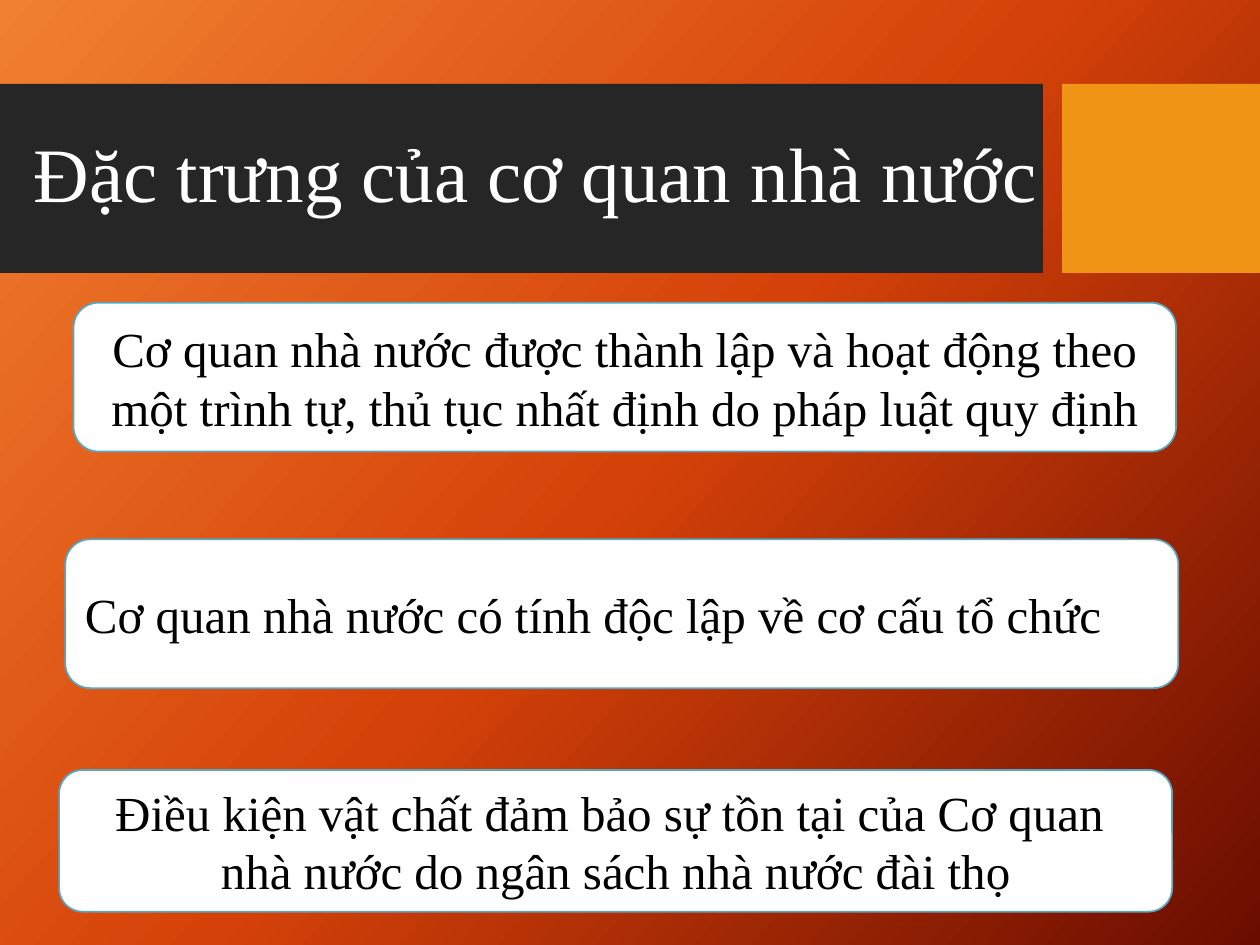
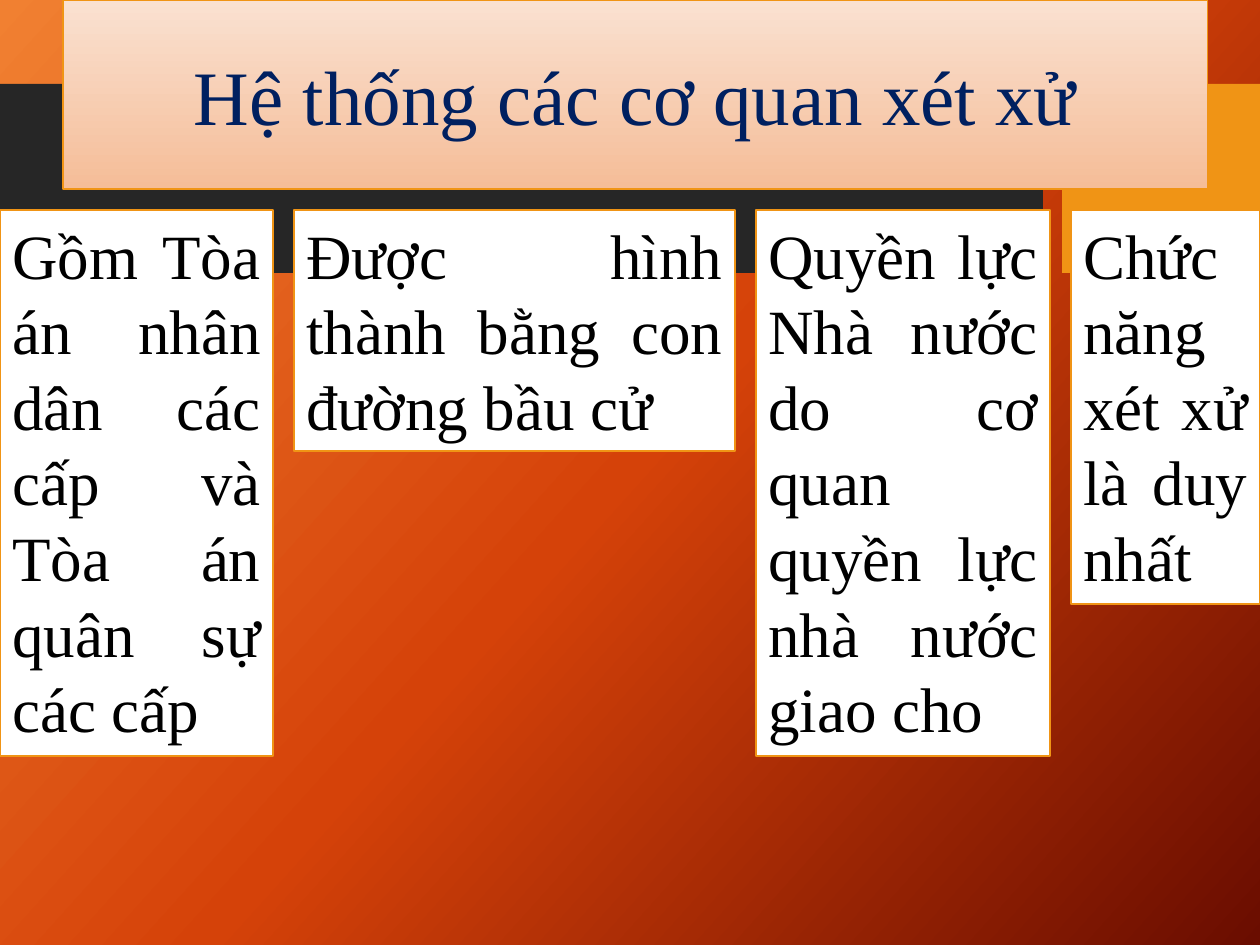
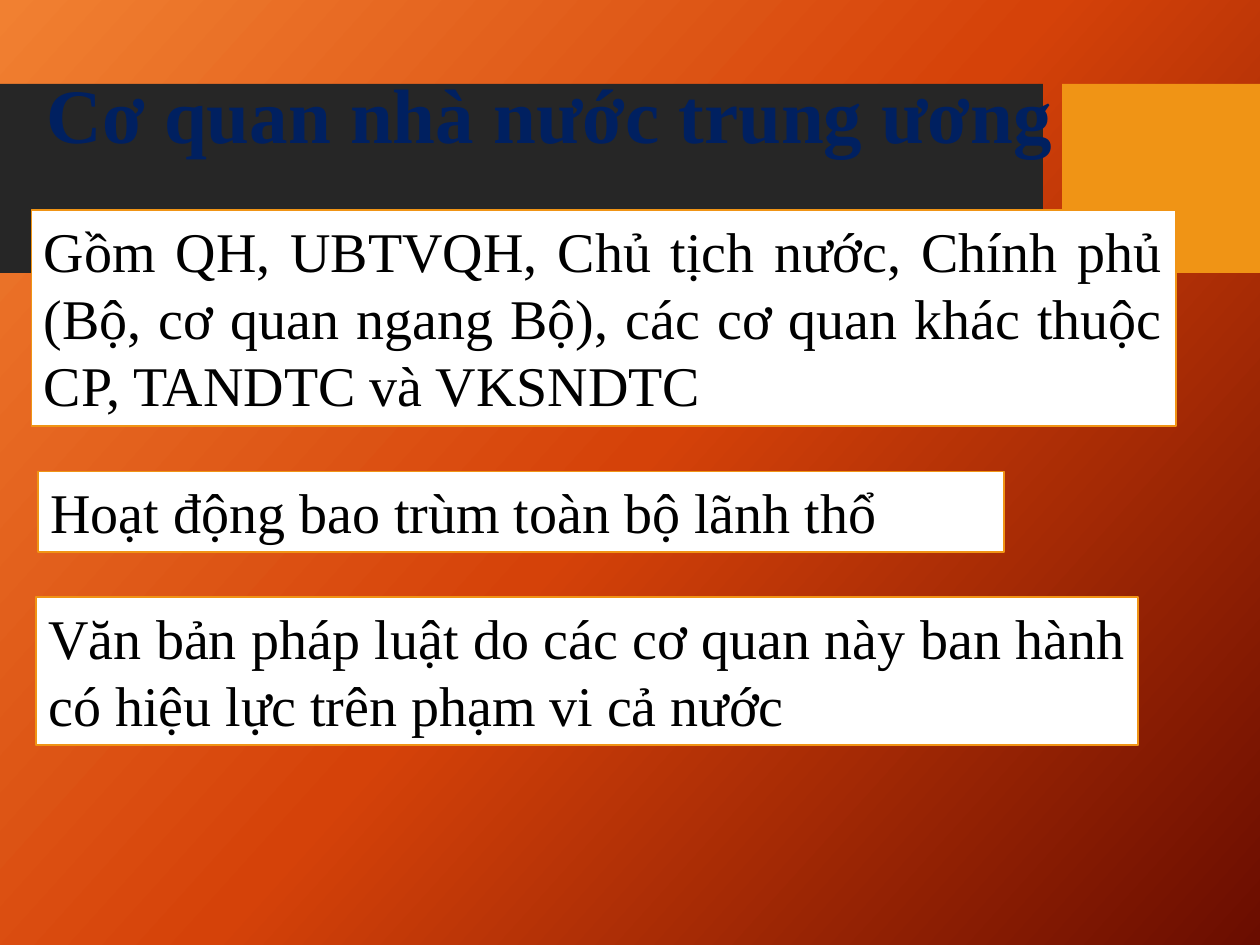
from lxml.etree import SubElement
from pptx import Presentation
from pptx.dml.color import RGBColor
from pptx.enum.shapes import MSO_SHAPE as Shape
from pptx.enum.text import MSO_ANCHOR as Anchor, MSO_AUTO_SIZE as AutoSize, PP_ALIGN as Align
from pptx.oxml.ns import qn
from pptx.util import Pt

FONT = "Times New Roman"
WIDTH, HEIGHT = 720, 540
BLANK_LAYOUT = 6
BAND_TOP, BAND_HEIGHT = 48, 108
CARD_TOP = 120
LINE_RATIO = 1.21
INSET = 3.6

WHITE = RGBColor(0xFF, 0xFF, 0xFF)
BLACK = RGBColor(0x00, 0x00, 0x00)
CHARCOAL = RGBColor(0x26, 0x26, 0x26)
AMBER = RGBColor(0xF0, 0x94, 0x15)
TEAL = RGBColor(0x5A, 0xA6, 0xC0)
NAVY = RGBColor(0x00, 0x20, 0x60)
BACKDROP = [(0, RGBColor(0xF1, 0x80, 0x31)),
            (50, RGBColor(0xD5, 0x42, 0x09)),
            (100, RGBColor(0x6A, 0x0D, 0x00))]
PEACH = [(0, RGBColor(0xFA, 0xE1, 0xD1)), (100, RGBColor(0xF5, 0xBD, 0x98))]


def paint_gradient(fill, element, stops, angle):
    """Fill with (percent, colour) stops; the angle runs clockwise."""
    fill.gradient()
    fill.gradient_angle = 360 - angle
    stop_list = element.find(".//" + qn("a:gsLst"))
    for stop in list(stop_list):
        stop_list.remove(stop)
    for percent, color in stops:
        stop = SubElement(stop_list, qn("a:gs"), pos=str(percent * 1000))
        SubElement(stop, qn("a:srgbClr"), val=str(color))


def write_text(shape, text, *, size, color=BLACK, bold=False, align=Align.LEFT,
               anchor=Anchor.MIDDLE, spacing=None, grow=False):
    frame = shape.text_frame
    frame.word_wrap = True
    frame.vertical_anchor = anchor
    frame.auto_size = AutoSize.SHAPE_TO_FIT_TEXT if grow else AutoSize.NONE
    for index, line in enumerate(text.split("\n")):
        para = frame.add_paragraph() if index else frame.paragraphs[0]
        para.alignment = align
        if spacing:
            para.line_spacing = spacing
        span = para.add_run()
        span.text = line
        span.font.name = FONT
        span.font.size = Pt(size)
        span.font.bold = bold
        span.font.color.rgb = color


def add_box(page, left, top, width, height, *, kind=Shape.RECTANGLE,
            fill=WHITE, line=None, weight=1):
    box = page.shapes.add_shape(kind, Pt(left), Pt(top), Pt(width), Pt(height))
    box.shadow.inherit = False
    if isinstance(fill, list):
        paint_gradient(box.fill, box.element, fill, 90)
    else:
        box.fill.solid()
        box.fill.fore_color.rgb = fill
    if line is None:
        box.line.fill.background()
    else:
        box.line.color.rgb = line
        box.line.width = Pt(weight)
    return box


def add_page(deck):
    """Add a slide with the shared backdrop and title bands."""
    page = deck.slides.add_slide(deck.slide_layouts[BLANK_LAYOUT])
    paint_gradient(page.background.fill, page.element, BACKDROP, 42)
    add_box(page, 0, BAND_TOP, 596, BAND_HEIGHT, fill=CHARCOAL)
    add_box(page, 607, BAND_TOP, WIDTH - 607, BAND_HEIGHT, fill=AMBER)
    return page


def add_title(page, text, left, top, width, height, **style):
    box = page.shapes.add_textbox(Pt(left), Pt(top), Pt(width), Pt(height))
    write_text(box, text, size=44, spacing=0.9, **style)


def add_rounded_card(page, text, left, top, width, height, align=Align.CENTER):
    card = add_box(page, left, top, width, height,
                   kind=Shape.ROUNDED_RECTANGLE, line=TEAL)
    write_text(card, text, size=28, align=align)


def add_card(page, text, left, top, width, lines, size, align=Align.JUSTIFY):
    """Add a framed card as tall as its lines, and return its height."""
    height = round(lines * size * LINE_RATIO + 2 * INSET, 1)
    card = add_box(page, left, top, width, height, line=AMBER)
    write_text(card, text, size=size, align=align, anchor=Anchor.TOP, grow=True)
    return height


def add_features_page(deck):
    page = add_page(deck)
    add_title(page, "Đặc trưng của cơ quan nhà nước", 12.2, 59, 588, 85, color=WHITE)
    add_rounded_card(page, "Cơ quan nhà nước được thành lập và hoạt động theo một trình tự, "
                     "thủ tục nhất định do pháp luật quy định", 42, 173, 630, 85)
    add_rounded_card(page, "Cơ quan nhà nước có tính độc lập về cơ cấu tổ chức",
                     37.3, 308.2, 636, 85, Align.JUSTIFY)
    add_rounded_card(page, "Điều kiện vật chất đảm bảo sự tồn tại của Cơ quan \n"
                     "nhà nước do ngân sách nhà nước đài thọ", 33.8, 440, 636, 81)


def add_courts_page(deck):
    page = add_page(deck)
    banner = add_box(page, 36, 0, 654, 108, fill=PEACH, line=AMBER, weight=0.75)
    write_text(banner, "Hệ thống các cơ quan xét xử", size=44, color=NAVY,
               align=Align.CENTER)
    columns = [
        ("Gồm Tòa án nhân dân các cấp và Tòa án quân sự các cấp", 156, 7),
        ("Được hình thành bằng con đường bầu cử", 252, 3),
        ("Quyền lực Nhà nước do cơ quan quyền lực nhà nước giao cho", 168, 7),
        ("Chức năng xét xử là duy nhất", 108, 5),
    ]
    left, gap = 0, 12
    for text, width, lines in columns:
        add_card(page, text, left, CARD_TOP, width, lines, 36)
        left += width + gap


def add_central_bodies_page(deck):
    page = add_page(deck)
    add_title(page, "Cơ quan nhà nước trung ương", 19.5, 16, 603, 103.5,
              color=NAVY, bold=True)
    cards = [
        ("Gồm QH, UBTVQH, Chủ tịch nước, Chính phủ (Bộ, cơ quan ngang Bộ), "
         "các cơ quan khác thuộc CP, TANDTC và VKSNDTC", 18, 654, 3, Align.JUSTIFY),
        ("Hoạt động bao trùm toàn bộ lãnh thổ", 21.8, 552, 1, Align.LEFT),
        ("Văn bản pháp luật do các cơ quan này ban hành có hiệu lực trên phạm vi cả nước",
         20.5, 630, 2, Align.JUSTIFY),
    ]
    top, gap = CARD_TOP, 26
    for text, left, width, lines, align in cards:
        top += add_card(page, text, left, top, width, lines, 32, align) + gap


def main():
    deck = Presentation()
    deck.slide_width, deck.slide_height = Pt(WIDTH), Pt(HEIGHT)
    add_features_page(deck)
    add_courts_page(deck)
    add_central_bodies_page(deck)
    deck.save("out.pptx")


if __name__ == "__main__":
    main()
